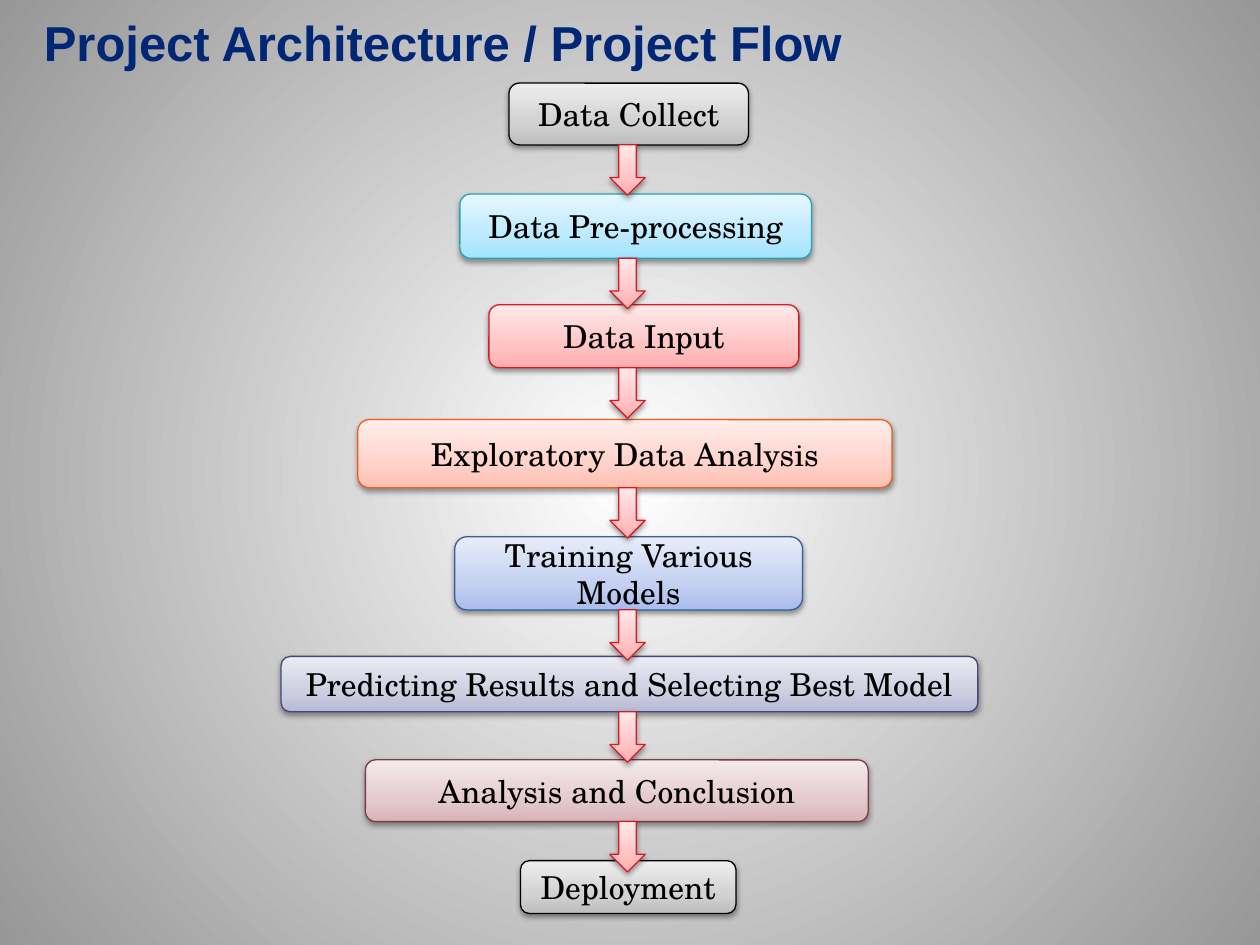
from lxml import etree
from pptx import Presentation
from pptx import util as u
from pptx.dml.color import RGBColor
from pptx.enum import shapes, text
from pptx.oxml.ns import qn

RED = ("DA1A23", "FFACAD", "FFC4C5", "FFE9E9")
GRAY = ("000000", "BDBDBD", "D1D1D1", "EEEEEE")
STEPS = [
    ("Data Collect", 290.9, 47.5, 136.8, 35.3, GRAY),
    ("Data Pre-processing", 262.8, 110.9, 200.9, 36.7,
     ("28A1BE", "A1E3FF", "BDEAFF", "E6F7FF")),
    ("Data Input", 279.4, 174.2, 177.1, 36, RED),
    ("Exploratory Data Analysis", 204.5, 239.8, 305.3, 38.9,
     ("EB6015", "FFBFB3", "FFD2CA", "FFEEEB")),
    ("Training Various Models", 259.9, 306.7, 198.7, 41.8,
     ("35609C", "A9BCEC", "C3D0F0", "E8EDFA")),
    ("Predicting Results and Selecting Best Model", 160.6, 375.1, 398.2, 31.7,
     ("444877", "B7B9D4", "CDCEE0", "ECECF4")),
    ("Analysis and Conclusion", 208.8, 434.2, 287.3, 35.3,
     ("7C3947", "D8B3B9", "E3CACE", "F5EBEC")),
    ("Deployment", 297.4, 491.8, 123.1, 30.2, GRAY),
]


def color(code):
    return RGBColor.from_string(code)


def add(node, tag, **attrs):
    return etree.SubElement(node, qn(tag), {k: str(v) for k, v in attrs.items()})


class Flow:
    head = "Arial"
    body = "TeX Gyre Schola"

    def __init__(self, slide):
        self.slide = slide

    def blend(self, fill, root, stops):
        fill.gradient()
        grad = next(root.iter(qn("a:gradFill")))
        for child in list(grad):
            grad.remove(child)
        row = add(grad, "a:gsLst")
        for pos, code in stops:
            add(add(row, "a:gs", pos=pos * 1000), "a:srgbClr", val=code)
        return grad

    def back(self, inner, outer):
        grad = self.blend(self.slide.background.fill, self.slide.element,
                          [(0, inner), (100, outer)])
        rays = add(grad, "a:path", path="circle")
        add(rays, "a:fillToRect", l=50000, t=50000, r=50000, b=50000)

    def label(self, frame, words, font, size, code, bold=False):
        frame.word_wrap = True
        para = frame.paragraphs[0]
        para.text = words
        para.font.name, para.font.size, para.font.bold = font, u.Pt(size), bold
        para.font.color.rgb = color(code)
        return para

    def title(self, words, x, y, w, h):
        box = self.slide.shapes.add_textbox(u.Pt(x), u.Pt(y), u.Pt(w), u.Pt(h))
        self.label(box.text_frame, words, self.head, 28, "002776", True)
        box.text_frame.auto_size = text.MSO_AUTO_SIZE.SHAPE_TO_FIT_TEXT

    def shape(self, kind, x, y, w, h, theme):
        item = self.slide.shapes.add_shape(
            kind, u.Pt(x), u.Pt(y), u.Pt(w), u.Pt(h))
        line, *tints = theme
        grad = self.blend(item.fill, item.element, zip((0, 35, 100), tints))
        add(grad, "a:lin", ang=270 * 60000, scaled=0)
        item.line.color.rgb = color(line)
        item.line.width = u.Pt(0.75)
        item.shadow.inherit = False
        glow = next(item.element.iter(qn("a:effectLst")))
        shade = add(glow, "a:outerShdw", blurRad=u.Pt(3.15), dist=u.Pt(1.57),
                    dir=90 * 60000, rotWithShape=0)
        add(add(shade, "a:srgbClr", val="000000"), "a:alpha", val=38000)
        return item

    def step(self, words, x, y, w, h, theme):
        item = self.shape(shapes.MSO_SHAPE.ROUNDED_RECTANGLE, x, y, w, h, theme)
        frame = item.text_frame
        frame.vertical_anchor = text.MSO_ANCHOR.MIDDLE
        para = self.label(frame, words, self.body, 18, "000000")
        para.alignment = text.PP_ALIGN.CENTER

    def arrow(self, y):
        self.shape(shapes.MSO_SHAPE.DOWN_ARROW, 348.5, y, 20.2, 28.8, RED)


def main():
    deck = Presentation()
    deck.slide_width, deck.slide_height = u.Pt(720), u.Pt(540)
    flow = Flow(deck.slides.add_slide(deck.slide_layouts[6]))
    flow.back("FFFFFF", "979797")
    flow.title("Project Architecture / Project Flow", 18, 3.6, 483.1, 41)
    for step in STEPS:
        flow.step(*step)
    for _, _, top, _, high, _ in STEPS[:-1]:
        flow.arrow(top + high)
    deck.save("out.pptx")


if __name__ == "__main__":
    main()
